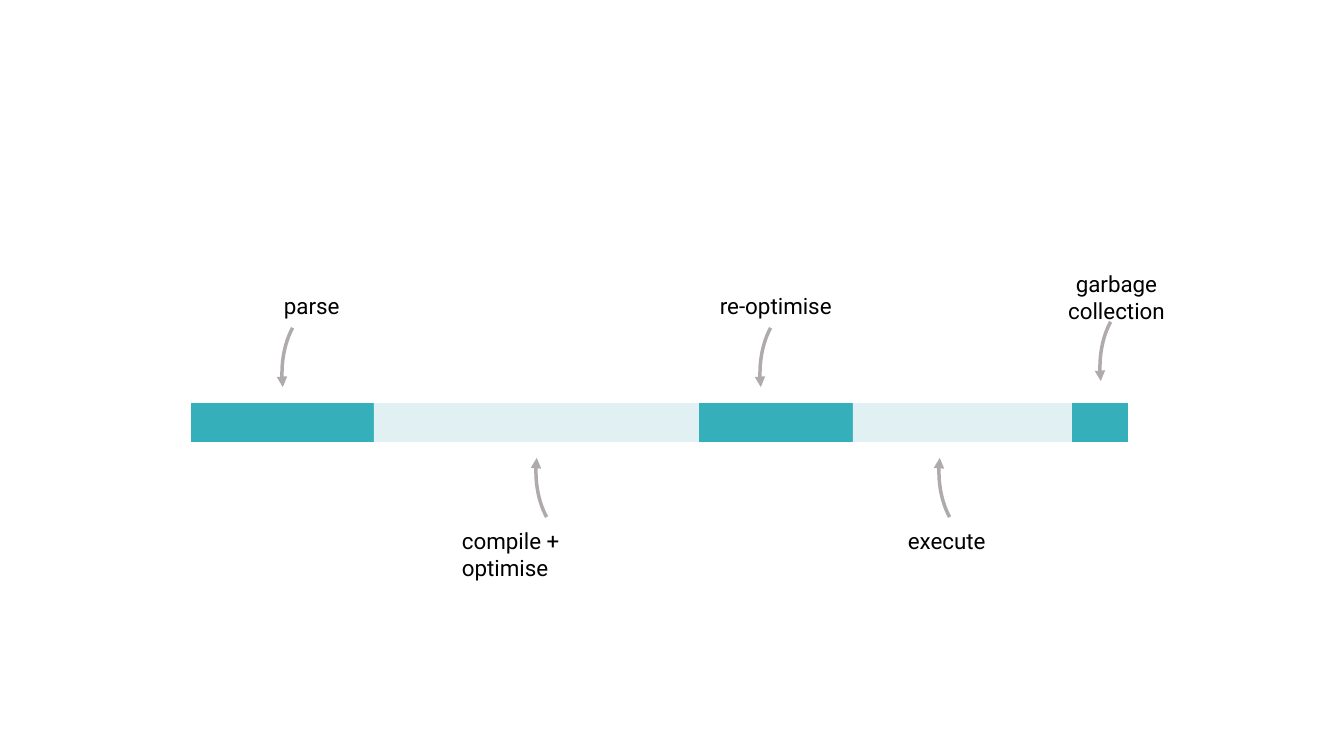
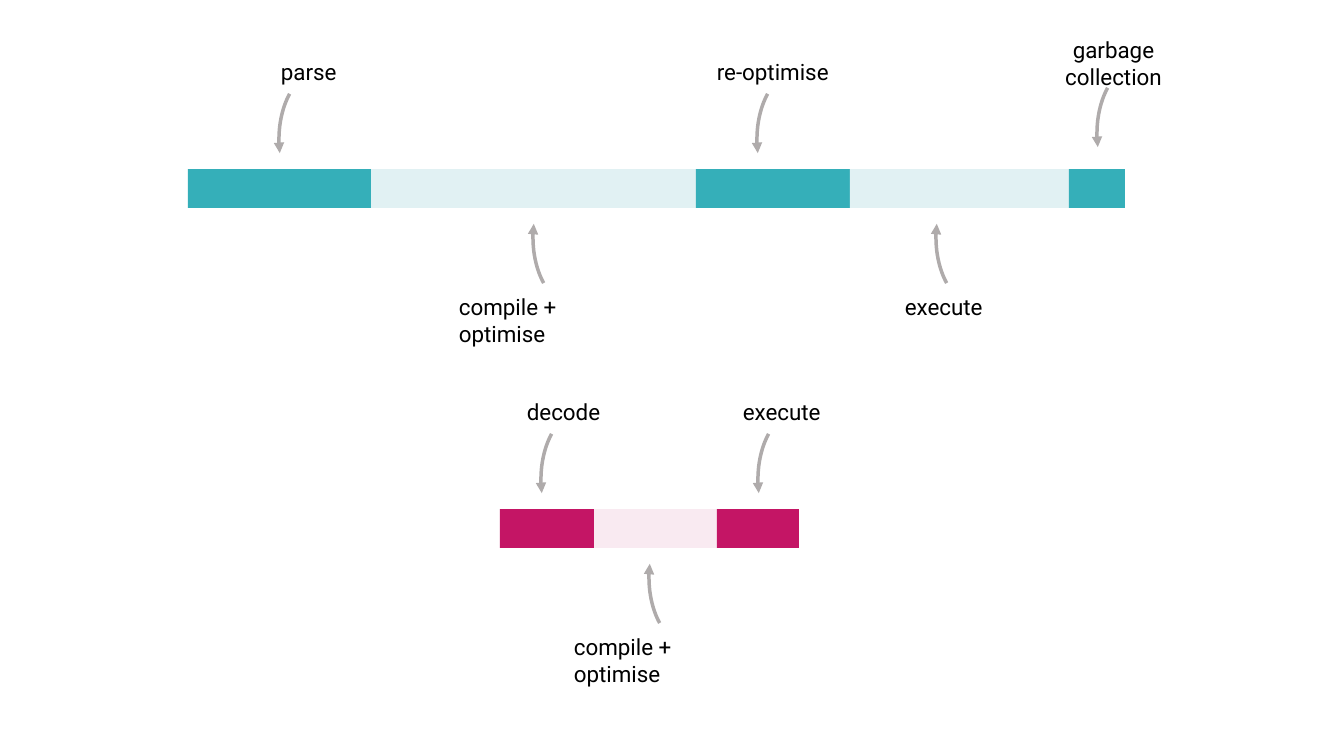
from collections import namedtuple

from lxml import etree
from pptx import Presentation
from pptx import util as u
from pptx.dml.color import RGBColor
from pptx.enum import shapes, text
from pptx.oxml.ns import qn

EMU_PER_PX = u.Inches(1) / 100.8
BAR_H, ARC_W, ARC_H = 39, 84, 137
TEAL, PALE_TEAL = "35AFB9", "E1F1F3"
PINK, PALE_PINK = "C41565", "F9EAF1"
BLACK, GREY = "000000", "AFABAB"

# Arrow and label positions are offsets from the left end of the bar
Phase = namedtuple("Phase", "label width arrow_x label_x label_w")
JAVASCRIPT = [
    Phase("parse", 183, 91, 83, 77),
    Phase("compile + optimise", 325, 345, 261, 200),
    Phase("re-optimise", 154, 569, 519, 132),
    Phase("execute", 219, 748, 707, 100),
    Phase("garbage collection", 56, 909, 864, 123),
]
WASM = [
    Phase("decode", 94, 41, 17, 95),
    Phase("compile + optimise", 123, 149, 64, 200),
    Phase("execute", 82, 258, 233, 100),
]


def px(length):
    return u.Emu(round(length * EMU_PER_PX))


def rgb(hex_string):
    return RGBColor.from_string(hex_string)


class Deck:
    font, size = "Roboto", u.Pt(16)

    def __init__(self):
        self.prs = Presentation()
        self.prs.slide_width, self.prs.slide_height = px(1344), px(756)
        self.slide = None

    def new_slide(self):
        self.slide = self.prs.slides.add_slide(self.prs.slide_layouts[6])

    def bar(self, x, y, widths, colours):
        """A group of touching segments in alternating colours."""
        group = self.slide.shapes.add_group_shape()
        for i, width in enumerate(widths):
            segment = group.shapes.add_shape(
                shapes.MSO_SHAPE.RECTANGLE, px(x), px(y), px(width), px(BAR_H))
            segment.shadow.inherit = False
            segment.fill.solid()
            segment.fill.fore_color.rgb = rgb(colours[i % 2])
            segment.line.fill.background()
            x += width

    def arrow(self, x, y, upward):
        """A curved arrow that points down, or up when upward is set."""
        arc = self.slide.shapes.add_shape(
            shapes.MSO_SHAPE.ARC, px(x), px(y), px(ARC_W), px(ARC_H))
        arc.adjustments[0], arc.adjustments[1] = 182.7, 11
        arc.shadow.inherit = False
        arc.fill.background()
        arc.line.color.rgb = rgb(GREY)
        arc.line.width = u.Pt(2.5)
        # Flips and arrowhead
        properties = arc.element.spPr
        frame = properties.find(qn("a:xfrm"))
        frame.set("flipH", "1")
        if upward:
            frame.set("flipV", "1")
        etree.SubElement(properties.find(qn("a:ln")), qn("a:tailEnd"), type="triangle")

    def label(self, x, y, width, height, words, wrap, centred):
        frame = self.slide.shapes.add_textbox(
            px(x), px(y), px(width), px(height)).text_frame
        frame.word_wrap = wrap
        frame.auto_size = text.MSO_AUTO_SIZE.SHAPE_TO_FIT_TEXT
        frame.text = words
        paragraph = frame.paragraphs[0]
        if centred:
            paragraph.alignment = text.PP_ALIGN.CENTER
        font = paragraph.runs[0].font
        font.name, font.size = self.font, self.size
        font.color.rgb = rgb(BLACK)

    def timeline(self, x, y, phases, colours):
        """A bar whose phases are labelled above and below in turn."""
        self.bar(x, y, [phase.width for phase in phases], colours)
        for i, phase in enumerate(phases):
            below = i % 2 == 1
            two_lines = " " in phase.label
            if below:
                arrow_y, label_y = y, y + 119
            else:
                arrow_y, label_y = y + BAR_H - ARC_H, y - 116
                if two_lines:
                    arrow_y, label_y = arrow_y - 6, label_y - 22
            self.arrow(x + phase.arrow_x, arrow_y, below)
            self.label(x + phase.label_x, label_y, phase.label_w,
                       65 if two_lines else 37, phase.label,
                       two_lines, two_lines and not below)


deck = Deck()

# Slide 1: one timeline
deck.new_slide()
deck.timeline(191, 403, JAVASCRIPT, (TEAL, PALE_TEAL))

# Slide 2: both timelines
deck.new_slide()
deck.timeline(188, 169, JAVASCRIPT, (TEAL, PALE_TEAL))
deck.timeline(500, 509, WASM, (PINK, PALE_PINK))

deck.prs.save("out.pptx")
